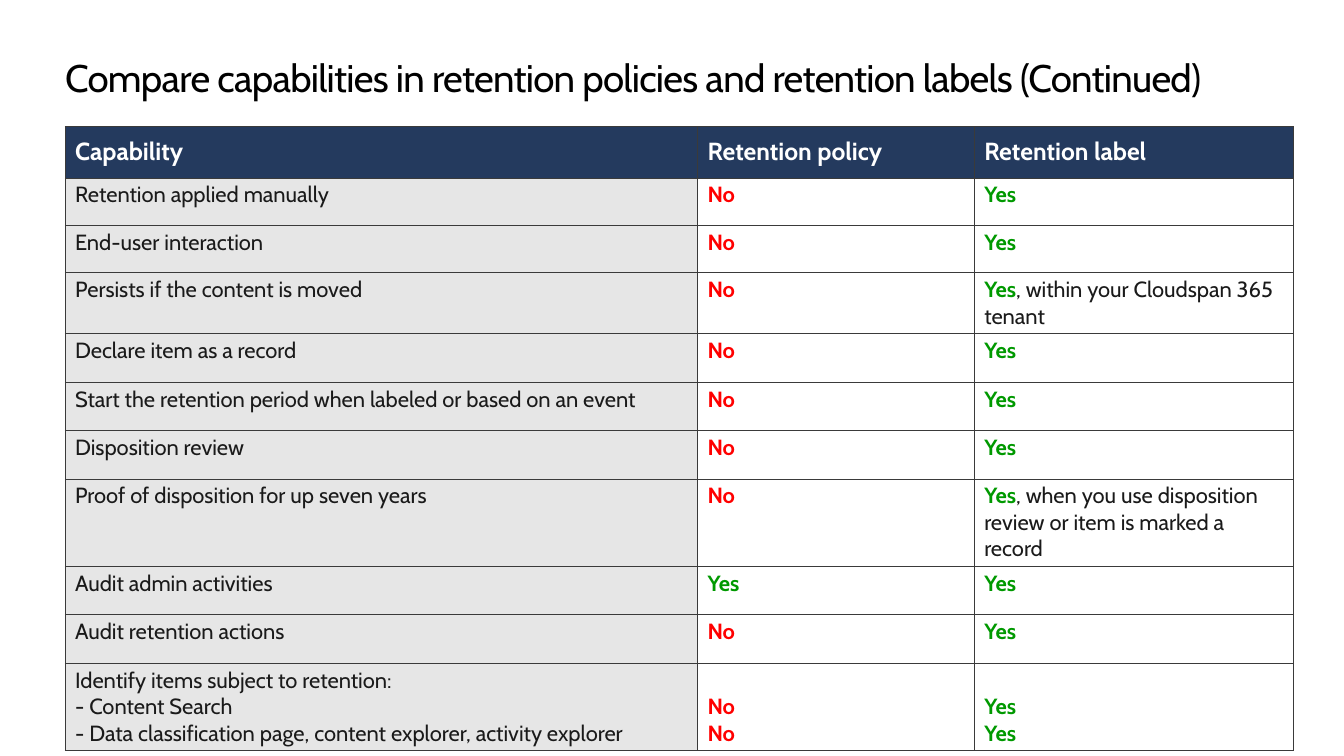
from pptx import Presentation
from pptx.dml.color import RGBColor
from pptx.enum.text import MSO_ANCHOR as Anchor, PP_ALIGN as Align
from pptx.oxml import parse_xml
from pptx.oxml.ns import nsdecls
from pptx.util import Inches, Pt

FONT = "Cabin"
BLACK = RGBColor(0x00, 0x00, 0x00)
WHITE = RGBColor(0xFF, 0xFF, 0xFF)
NAVY = RGBColor(0x24, 0x3A, 0x5E)
GREY = RGBColor(0xE6, 0xE6, 0xE6)
INK = RGBColor(0x1A, 0x1A, 0x1A)
BORDER = RGBColor(0x3A, 0x3A, 0x3A)
ANSWERS = {"Yes": RGBColor(0x00, 0x99, 0x00), "No": RGBColor(0xFF, 0x00, 0x00)}

TITLE = "Compare capabilities in retention policies and retention labels (Continued)"
HEADERS = ["Capability", "Retention policy", "Retention label"]
COL_WIDTHS = [6.4, 2.8, 3.23]
ROW_HEIGHTS = [0.52] + [0.48] * 2 + [0.49] * 8

# Each cell is a list of lines; text after "Yes" or "No" is a plain note
CAPABILITIES = [
    (["Retention applied manually"], ["No"], ["Yes"]),
    (["End-user interaction"], ["No"], ["Yes"]),
    (["Persists if the content is moved"], ["No"],
     ["Yes, within your Cloudspan 365 tenant"]),
    (["Declare item as a record"], ["No"], ["Yes"]),
    (["Start the retention period when labeled or based on an event"], ["No"], ["Yes"]),
    (["Disposition review"], ["No"], ["Yes"]),
    (["Proof of disposition for up seven years"], ["No"],
     ["Yes, when you use disposition review or item is marked a record"]),
    (["Audit admin activities"], ["Yes"], ["Yes"]),
    (["Audit retention actions"], ["No"], ["Yes"]),
    (["Identify items subject to retention:", "- Content Search",
      "- Data classification page, content explorer, activity explorer"],
     ["No", "No"], ["Yes", "Yes"]),
]


def add_text(p, text, size=16, color=INK, bold=False, spacing=None):
    r = p.add_run()
    r.text = text
    r.font.name = FONT
    r.font.size = Pt(size)
    r.font.bold = bold
    r.font.color.rgb = color
    if spacing is not None:
        r.font._element.set("spc", str(int(spacing * 100)))


def add_answer(p, line):
    answer, comma, note = line.partition(",")
    add_text(p, answer, color=ANSWERS[answer], bold=True)
    if note:
        add_text(p, comma + note)


def format_cell(cell, fill, inset):
    cell.margin_left = cell.margin_right = Inches(0.1)
    cell.margin_top = cell.margin_bottom = Inches(inset)
    cell.fill.solid()
    cell.fill.fore_color.rgb = fill
    # Borders come before the fill in the cell properties
    tc_pr = cell._tc.get_or_add_tcPr()
    for i, side in enumerate(("lnL", "lnR", "lnT", "lnB")):
        tc_pr.insert(i, parse_xml(
            f'<a:{side} {nsdecls("a")} w="{Pt(0.5)}"><a:solidFill>'
            f'<a:srgbClr val="{BORDER}"/></a:solidFill></a:{side}>'))


def fill_cell(cell, lines, is_answer):
    format_cell(cell, WHITE if is_answer else GREY, 0.04)
    # Two answers line up with the last two lines of their capability
    if is_answer and len(lines) > 1:
        cell.vertical_anchor = Anchor.BOTTOM
    tf = cell.text_frame
    for i, line in enumerate(lines):
        p = tf.add_paragraph() if i else tf.paragraphs[0]
        (add_answer if is_answer else add_text)(p, line)


def add_title(s):
    sp = s.shapes.title
    sp.left, sp.top = Inches(0.66), Inches(0.55)
    sp.width, sp.height = Inches(12.66), Inches(0.94)
    tf = sp.text_frame
    tf.margin_left = tf.margin_right = tf.margin_top = tf.margin_bottom = 0
    tf.vertical_anchor = Anchor.TOP
    tf.word_wrap = True
    p = tf.paragraphs[0]
    p.alignment = Align.LEFT
    add_text(p, TITLE, size=28, color=BLACK, spacing=-0.5)


def add_capability_table(s):
    table = s.shapes.add_table(
        len(ROW_HEIGHTS), len(COL_WIDTHS), Inches(0.66), Inches(1.28),
        Inches(sum(COL_WIDTHS)), Inches(sum(ROW_HEIGHTS))).table
    for col, width in zip(table.columns, COL_WIDTHS):
        col.width = Inches(width)
    for row, height in zip(table.rows, ROW_HEIGHTS):
        row.height = Inches(height)
    # Header row
    for cell, text in zip(table.rows[0].cells, HEADERS):
        format_cell(cell, NAVY, 0.1)
        add_text(cell.text_frame.paragraphs[0], text, size=18, color=WHITE, bold=True)
    # Capability rows
    for r, entry in enumerate(CAPABILITIES, start=1):
        for c, lines in enumerate(entry):
            fill_cell(table.cell(r, c), lines, is_answer=c > 0)


def main():
    prs = Presentation()
    prs.slide_width, prs.slide_height = Inches(13.6), Inches(7.65)
    s = prs.slides.add_slide(prs.slide_layouts[5])
    add_title(s)
    add_capability_table(s)
    prs.save("out.pptx")


if __name__ == "__main__":
    main()
